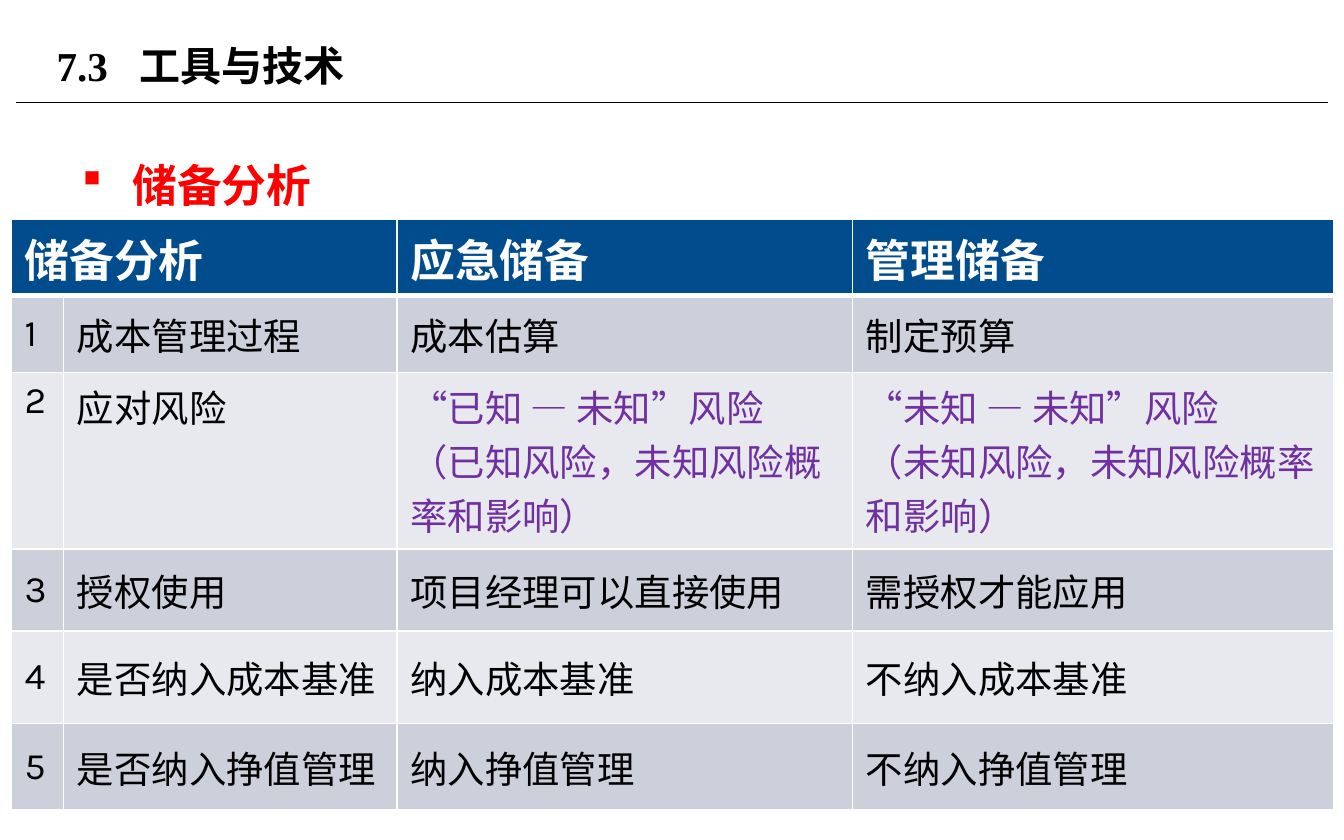
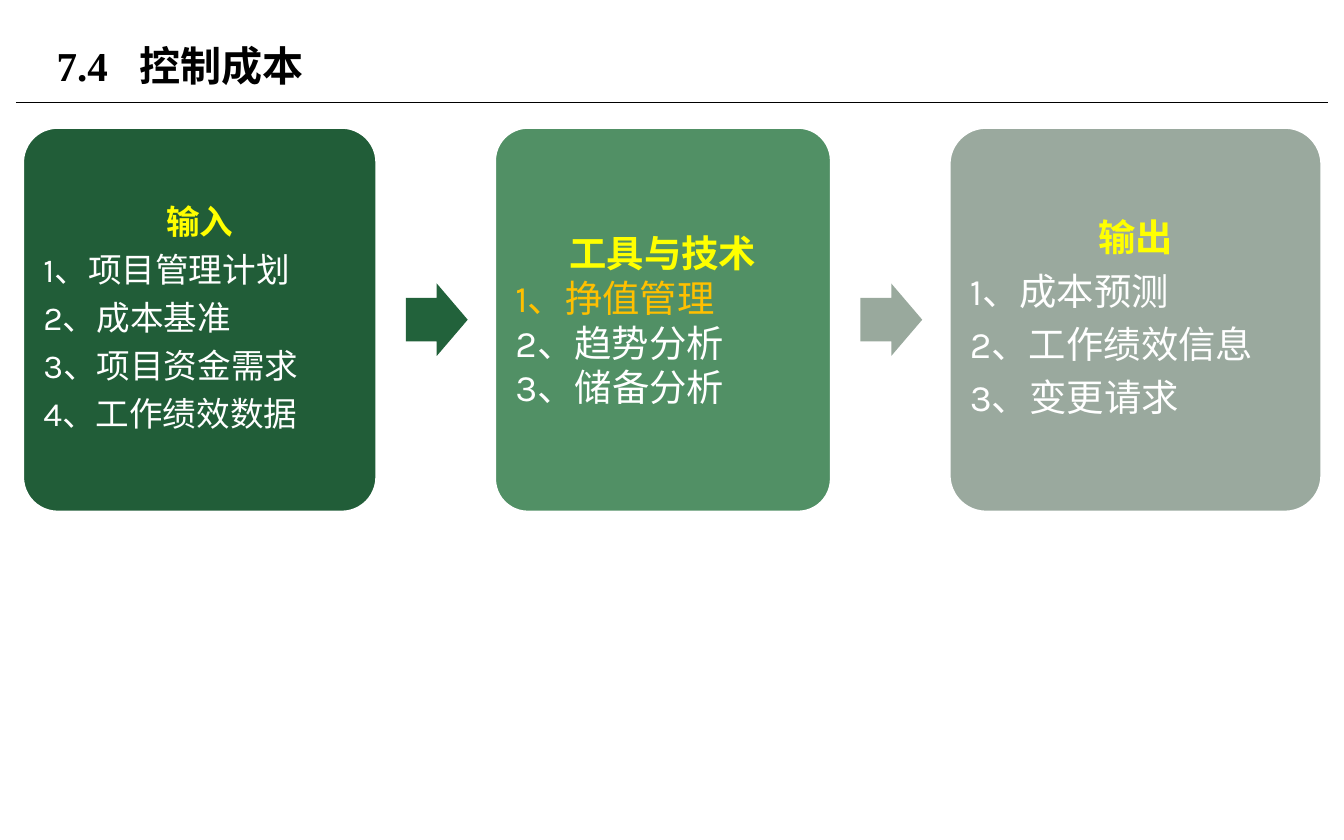
import pptx
import pptx.util
import pptx.dml.color
import pptx.enum.shapes
import pptx.enum.text
import pptx.oxml
import pptx.oxml.ns
from lxml import etree

Cm = pptx.util.Cm
Pt = pptx.util.Pt
RGB = pptx.dml.color.RGBColor
Shape = pptx.enum.shapes.MSO_SHAPE
Align = pptx.enum.text.PP_ALIGN
Anchor = pptx.enum.text.MSO_ANCHOR
qn = pptx.oxml.ns.qn

BLACK = RGB(0x00, 0x00, 0x00)
WHITE = RGB(0xFF, 0xFF, 0xFF)
RED = RGB(0xFF, 0x00, 0x00)
YELLOW = RGB(0xFF, 0xFF, 0x00)
ORANGE = RGB(0xFF, 0xC0, 0x00)
PURPLE = RGB(0x70, 0x30, 0xA0)
NAVY = RGB(0x01, 0x4C, 0x8D)
DARK = RGB(0xCC, 0xD0, 0xDB)
LIGHT = RGB(0xE7, 0xE9, 0xEE)
PINE = RGB(0x21, 0x5D, 0x38)
FOREST = RGB(0x22, 0x62, 0x3B)
GREEN = RGB(0x51, 0x90, 0x65)
SAGE = RGB(0x99, 0xA9, 0x9D)
MIST = RGB(0x9A, 0xA9, 0x9E)

SERIF = "Times New Roman"
SANS = "Karla"

HEADS = ["储备分析", "", "应急储备", "管理储备"]
ROWS = [
    ["1", "成本管理过程", "成本估算", "制定预算"],
    ["2", "应对风险", "“已知 — 未知”风险\n（已知风险，未知风险概率和影响）",
     "“未知 — 未知”风险\n（未知风险，未知风险概率和影响）"],
    ["3", "授权使用", "项目经理可以直接使用", "需授权才能应用"],
    ["4", "是否纳入成本基准", "纳入成本基准", "不纳入成本基准"],
    ["5", "是否纳入挣值管理", "纳入挣值管理", "不纳入挣值管理"],
]
RISK = 2
WIDTHS = [0.99, 6.3, 8.61, 9.09]
HEIGHTS = [1.45, 1.45, 3.34, 1.55, 1.75, 1.63]

# width, fill, arrow fill, size, line spacing, space after (share of size), lines, marked item
STEPS = [
    (6.71, PINE, FOREST, 18, 0.9, 0.35,
     ["输入", "1、项目管理计划", "2、成本基准", "3、项目资金需求", "4、工作绩效数据"], None),
    (6.38, GREEN, SAGE, 20, 1.0, 0,
     ["工具与技术", "1、挣值管理", "2、趋势分析", "3、储备分析"], 1),
    (7.06, MIST, None, 20, 0.9, 0.35,
     ["输出", "1、成本预测", "2、工作绩效信息", "3、变更请求"], None),
]


def style(para, size, color, name, bold=False):
    font = para.font
    font.size, font.bold, font.name = Pt(size), bold, name
    font.color.rgb = color


def asian(para, name):
    """Use the same face for the East Asian text, so its line height applies."""
    node = para._p.pPr.find(qn("a:defRPr"))
    etree.SubElement(node, qn("a:ea"), typeface=name)


def write(shapes, box, anchor=Anchor.TOP, inset=None):
    """Add an empty wrapping text box and return its frame."""
    frame = shapes.add_textbox(*map(Cm, box)).text_frame
    frame.word_wrap = True
    frame.vertical_anchor = anchor
    if inset is not None:
        frame.margin_left = frame.margin_right = Cm(inset)
        frame.margin_top = frame.margin_bottom = Cm(inset)
    return frame


def head(slide, number, title):
    rule = slide.shapes.add_connector(
        pptx.enum.shapes.MSO_CONNECTOR.STRAIGHT, Cm(0.3), Cm(1.94), Cm(25.1), Cm(1.94))
    rule.line.color.rgb = BLACK
    rule.line.width = Pt(0.75)
    etree.SubElement(rule._element.spPr, qn("a:effectLst"))
    para = write(slide.shapes, (0.82, 0.33, 16.21, 1.8), Anchor.MIDDLE).paragraphs[0]
    para.text = f"{number}\t{title}"
    tabs = etree.SubElement(para._p.get_or_add_pPr(), qn("a:tabLst"))
    etree.SubElement(tabs, qn("a:tab"), pos=str(Cm(1.56)), algn="l")
    style(para, 22, BLACK, SERIF, True)


def topic(slide, box, text):
    para = write(slide.shapes, box).paragraphs[0]
    para.text = text
    para.line_spacing = 1.5
    props = para._p.get_or_add_pPr()
    props.set("marL", str(Cm(0.95)))
    props.set("indent", str(-Cm(0.95)))
    etree.SubElement(props, qn("a:buFont"), typeface="Wingdings", charset="2")
    etree.SubElement(props, qn("a:buChar"), char="§")
    style(para, 24, RED, SERIF, True)


def edge(cell, top, base):
    """Draw white borders; top and base are widths in points."""
    props = cell._tc.get_or_add_tcPr()
    for spot, (side, width) in enumerate(
            [("lnL", 1), ("lnR", 1), ("lnT", top), ("lnB", base)]):
        line = etree.Element(qn(f"a:{side}"), w=str(Pt(width)))
        fill = etree.SubElement(line, qn("a:solidFill"))
        etree.SubElement(fill, qn("a:srgbClr"), val=str(WHITE))
        props.insert(spot, line)


def grid(slide, left, top):
    table = slide.shapes.add_table(
        len(HEIGHTS), len(WIDTHS), Cm(left), Cm(top),
        Cm(sum(WIDTHS)), Cm(sum(HEIGHTS))).table
    table.first_row = table.horz_banding = False
    for col, width in zip(table.columns, WIDTHS):
        col.width = Cm(width)
    for row, height in zip(table.rows, HEIGHTS):
        row.height = Cm(height)
    for r, texts in enumerate([HEADS] + ROWS):
        for c, text in enumerate(texts):
            cell = table.cell(r, c)
            cell.text = text
            cell.fill.solid()
            cell.fill.fore_color.rgb = NAVY if r == 0 else DARK if r % 2 else LIGHT
            if r not in (0, RISK):
                cell.vertical_anchor = Anchor.MIDDLE
            edge(cell, 3 if r == 1 else 1, 3 if r == 0 else 1)
            color = WHITE if r == 0 else PURPLE if r == RISK and c > 1 else BLACK
            for para in cell.text_frame.paragraphs:
                style(para, 20 if r else 24, color, SERIF if c > 1 else SANS, r == 0)
    table.cell(0, 0).merge(table.cell(0, 1))


def block(shapes, kind, box, fill, adjust):
    shape = shapes.add_shape(kind, *map(Cm, box))
    shape.shadow.inherit = False
    shape.fill.solid()
    shape.fill.fore_color.rgb = fill
    for spot, value in enumerate(adjust):
        shape.adjustments[spot] = value
    return shape


def card(shapes, box, fill, size, pitch, after, lines, mark):
    shape = block(shapes, Shape.ROUNDED_RECTANGLE, box, fill, [0.1])
    shape.line.color.rgb = WHITE
    shape.line.width = Pt(2)
    left, top, width, height = box
    pad = 0.2
    inner = (left + pad, top + pad, width - 2 * pad, height - 2 * pad)
    frame = write(shapes, inner, Anchor.MIDDLE, pad)
    frame.text = "\n".join(lines)
    for spot, para in enumerate(frame.paragraphs):
        para.alignment = Align.LEFT if spot else Align.CENTER
        para.line_spacing = pitch
        para.space_after = Pt(size * after)
        color = YELLOW if spot == 0 else ORANGE if spot == mark else WHITE
        style(para, size, color, SANS, spot == 0)
        asian(para, SANS)


def flow(slide, left, top, height):
    shapes = slide.shapes.add_group_shape().shapes
    before, after, wide, tall = 0.54, 0.5, 1.17, 1.37
    for width, fill, tint, *rest in STEPS:
        card(shapes, (left, top, width, height), fill, *rest)
        left += width + before
        if tint is not None:
            box = (left, top + (height - tall) / 2, wide, tall)
            arrow = block(shapes, Shape.RIGHT_ARROW, box, tint, [0.6, 0.5])
            arrow.line.fill.background()
        left += wide + after


def main():
    deck = pptx.Presentation()
    deck.slide_width, deck.slide_height = Cm(25.4), Cm(15.88)
    blank = deck.slide_layouts[6]

    slide = deck.slides.add_slide(blank)
    head(slide, "7.3", "工具与技术")
    topic(slide, (1.3, 2.34, 22.81, 9.91), "储备分析")
    grid(slide, 0.21, 4.14)

    slide = deck.slides.add_slide(blank)
    head(slide, "7.4", "控制成本")
    flow(slide, 0.42, 2.4, 7.29)

    deck.save("out.pptx")


if __name__ == "__main__":
    main()
